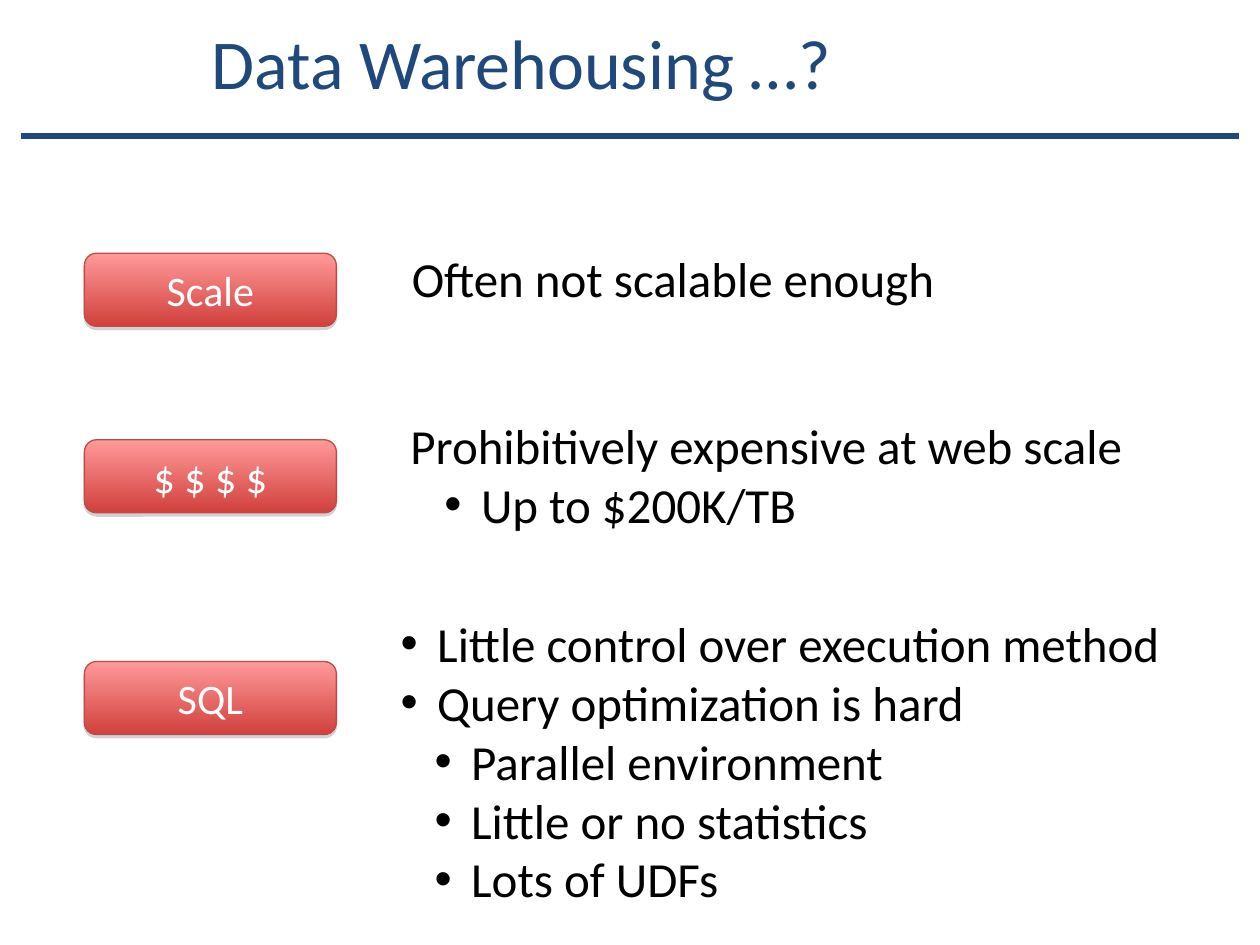
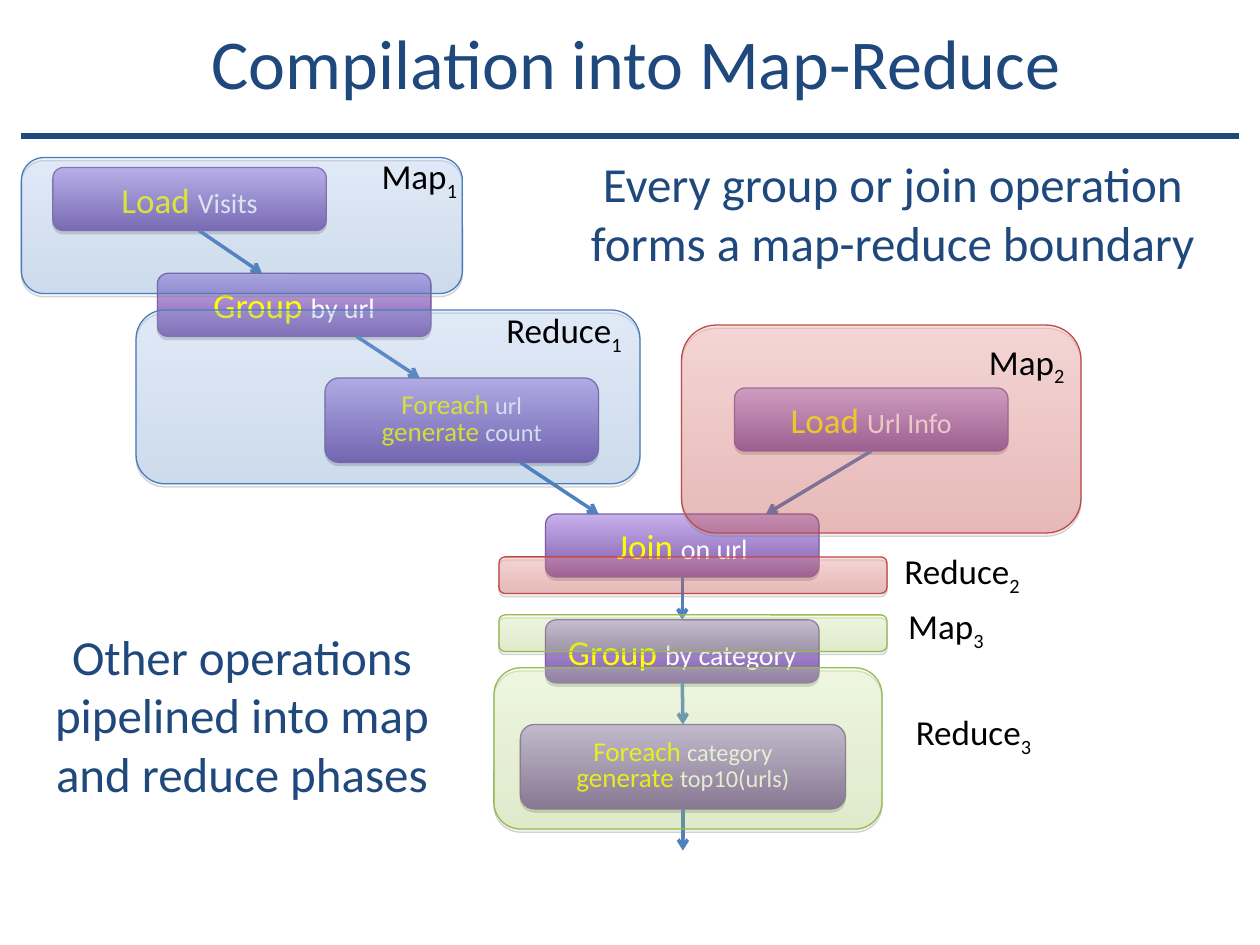
import pptx
import pptx.dml.color
import pptx.enum.shapes
import pptx.enum.text
import pptx.oxml
import pptx.oxml.ns
import pptx.util

Inches = pptx.util.Inches
Pt = pptx.util.Pt
RGBColor = pptx.dml.color.RGBColor
MIDDLE = pptx.enum.text.MSO_ANCHOR.MIDDLE
LEFT = pptx.enum.text.PP_ALIGN.LEFT
CENTER = pptx.enum.text.PP_ALIGN.CENTER
FIT_SHAPE = pptx.enum.text.MSO_AUTO_SIZE.SHAPE_TO_FIT_TEXT
STRAIGHT = pptx.enum.shapes.MSO_CONNECTOR.STRAIGHT
ROUNDED = pptx.enum.shapes.MSO_SHAPE.ROUNDED_RECTANGLE
qn = pptx.oxml.ns.qn
NAMESPACE = pptx.oxml.ns.nsdecls("a")

COLORS = {
    "navy": "1F497D", "arrow": "4F81BD", "keyword": "FFFF00",
    "white": "FFFFFF", "black": "000000",
}
# gradient top, gradient bottom, outline, opacity in percent
BOX_STYLES = {
    "issue": ("FF9A99", "D1403C", "BE4B48", 100),
    "step": ("C8B0ED", "7F5BAB", "7D60A0", 100),
    "blue phase": ("9BC1FF", "3F80CD", "4A7EBB", 21),
    "red phase": ("FF9A99", "D1403C", "BE4B48", 31),
    "green phase": ("DCFFA0", "A0CA4A", "98B954", 24),
}
SHADOW = (
    f'<a:outerShdw {NAMESPACE} blurRad="0" dist="22860" dir="5400000" rotWithShape="0">'
    '<a:srgbClr val="808080"><a:alpha val="35000"/></a:srgbClr></a:outerShdw>'
)


def write(frame, paragraphs, **paragraph_format):
    """Fill a text frame; each paragraph is a list of (text, size, colour) runs."""
    frame.word_wrap = True
    for index, runs in enumerate(paragraphs):
        paragraph = frame.add_paragraph() if index else frame.paragraphs[0]
        for name, value in paragraph_format.items():
            setattr(paragraph, name, value)
        for text, size, color in runs:
            run = paragraph.add_run()
            run.text = text
            for name, value in {"name": "Calibri", "size": Pt(size)}.items():
                setattr(run.font, name, value)
            run.font.color.rgb = RGBColor.from_string(COLORS[color])


def add_box(slide, style, left, top, width, height):
    """Add a rounded box with a vertical gradient and a thin lower shadow."""
    *stops, outline, opacity = BOX_STYLES[style]
    shape = slide.shapes.add_shape(
        ROUNDED, Inches(left), Inches(top), Inches(width), Inches(height))
    shape.fill.gradient()
    shape.fill.gradient_angle = 270
    for stop, color in zip(shape.fill.gradient_stops, stops):
        stop.color.rgb = RGBColor.from_string(color)
    for color in shape.element.spPr.find(qn("a:gradFill")).iter(qn("a:srgbClr")):
        color.append(pptx.oxml.parse_xml(f'<a:alpha {NAMESPACE} val="{opacity * 1000}"/>'))
    shape.line.color.rgb = RGBColor.from_string(outline)
    shape.line.width = Pt(0.75)
    shape.shadow.inherit = False
    shape.element.spPr.find(qn("a:effectLst")).append(pptx.oxml.parse_xml(SHADOW))
    shape.text_frame.vertical_anchor = MIDDLE
    return shape


presentation = pptx.Presentation()
presentation.slide_width = Inches(10)
presentation.slide_height = Inches(7.5)
master = presentation.slide_master
warehousing = presentation.slides.add_slide(presentation.slide_layouts[1])
compilation = presentation.slides.add_slide(presentation.slide_layouts[5])

# Shared title and rule
rule = warehousing.shapes.add_connector(
    STRAIGHT, Inches(9.83), Inches(1.08), Inches(0.17), Inches(1.08))
rule.line.color.rgb = RGBColor.from_string(COLORS["navy"])
rule.line.width = Pt(3)
rule.element.spPr.append(pptx.oxml.parse_xml(f"<a:effectLst {NAMESPACE}/>"))
master.shapes.element.append(rule.element)

for slide, title in (
    (warehousing, "Data Warehousing …?"),
    (compilation, "Compilation into Map-Reduce"),
):
    placeholder = slide.shapes.title
    for name, value in {"left": 1.58, "top": 0.05, "width": 8.33, "height": 0.87}.items():
        setattr(placeholder, name, Inches(value))
    placeholder.text_frame.vertical_anchor = MIDDLE
    write(placeholder.text_frame, [[(title, 40, "navy")]], alignment=LEFT)

# Slide 1: issues; a level of None means no bullet
issues = [
    ("Scale", 2.01, (3.17, 1.92, 4.59, 0.57), [(None, "Often not scalable enough")]),
    ("$ $ $ $", 3.49, (3.16, 3.25, 6.17, 1.04), [
        (None, "Prohibitively expensive at web scale"),
        (1, "Up to $200K/TB"),
    ]),
    ("SQL", 5.25, (3.08, 4.82, 6.67, 2.5), [
        (0, "Little control over execution method"),
        (0, "Query optimization is hard"),
        (1, "Parallel environment"),
        (1, "Little or no statistics"),
        (1, "Lots of UDFs"),
    ]),
]
for label, label_top, position, points in issues:
    badge = add_box(warehousing, "issue", 0.67, label_top, 2, 0.58)
    write(badge.text_frame, [[(label, 24, "white")]], alignment=CENTER)
    if label == "SQL":
        box = warehousing.placeholders[1]
        for name, value in zip(("left", "top", "width", "height"), position):
            setattr(box, name, Inches(value))
        box.text_frame.auto_size = pptx.enum.text.MSO_AUTO_SIZE.NONE
    else:
        box = warehousing.shapes.add_textbox(*map(Inches, position))
        box.text_frame.auto_size = FIT_SHAPE
    write(box.text_frame, [[(text, 28, "black")] for level, text in points],
          space_before=Pt(0))
    for paragraph, (level, text) in zip(box.text_frame.paragraphs, points):
        if level is None:
            continue
        paragraph.level = level
        properties = paragraph._p.get_or_add_pPr()
        properties.set("marL", str(Inches(0.29 + 0.27 * level)))
        properties.set("indent", str(Inches(-0.29)))
        for bullet in ('buFont {} typeface="Arial"', 'buChar {} char="•"'):
            properties.append(pptx.oxml.parse_xml(f"<a:{bullet.format(NAMESPACE)}/>"))

# Slide 2: query steps, as lines of (keyword, argument)
steps = {
    "load visits": (0.42, 1.33, 2.17, [("Load ", "Visits")]),
    "group by url": (1.25, 2.17, 2.17, [("Group ", "by url")]),
    "count": (2.58, 3, 2.17, [("Foreach ", "url"), ("generate ", "count")]),
    "load url info": (5.83, 3.08, 2.17, [("Load ", "Url Info")]),
    "join": (4.33, 4.08, 2.17, [("Join ", "on url")]),
    "group by category": (4.33, 4.92, 2.17, [("Group ", "by category")]),
    "top urls": (4.13, 5.75, 2.58, [("Foreach ", "category"), ("generate ", "top10(urls)")]),
}
step_boxes = {}
for step, (left, top, width, lines) in steps.items():
    two_lines = len(lines) == 2
    height, keyword_size, argument_size = (0.67, 15.5, 13.9) if two_lines else (0.5, 20, 16)
    step_boxes[step] = add_box(compilation, "step", left, top, width, height)
    write(
        step_boxes[step].text_frame,
        [[(keyword, keyword_size, "keyword"), (argument, argument_size, "white")]
         for keyword, argument in lines],
        alignment=CENTER, line_spacing=0.8 if two_lines else 1.0,
    )

# Arrows: start, end, and the steps joined at the middle of a side
arrows = [
    (1.58, 1.83, 2.08, 2.17, None, None),
    (4.13, 3.67, 4.75, 4.08, None, None),
    (6.92, 3.58, 6.08, 4.08, "load url info", None),
    (5.42, 4.58, 5.42, 4.92, "join", "group by category"),
    (5.42, 5.42, 5.42, 5.75, "group by category", "top urls"),
    (5.42, 6.42, 5.42, 6.75, "top urls", None),
    (2.83, 2.67, 3.33, 3, None, None),
]
for *ends, source, target in arrows:
    arrow = compilation.shapes.add_connector(STRAIGHT, *map(Inches, ends))
    if source:
        arrow.begin_connect(step_boxes[source], 2)
    if target:
        arrow.end_connect(step_boxes[target], 0)
    arrow.line.color.rgb = RGBColor.from_string(COLORS["arrow"])
    arrow.line.width = Pt(2)
    arrow.line._get_or_add_ln().append(
        pptx.oxml.parse_xml(f'<a:tailEnd {NAMESPACE} type="arrow"/>'))
    arrow.element.spPr.append(pptx.oxml.parse_xml(f"<a:effectLst {NAMESPACE}/>"))

# Translucent phases over the steps, each with its label
phases = [
    ("blue phase", (0.17, 1.25, 3.5, 1.08), "Map", "1", (2.93, 1.18)),
    ("blue phase", (1.08, 2.46, 4, 1.38), "Reduce", "1", (3.92, 2.4)),
    ("red phase", (5.41, 2.58, 3.17, 1.65), "Map", "2", (7.75, 2.65)),
    ("red phase", (3.96, 4.42, 3.08, 0.29), "Reduce", "2", (7.08, 4.31)),
    ("green phase", (3.96, 4.88, 3.08, 0.29), "Map", "3", (7.11, 4.75)),
    ("green phase", (3.92, 5.3, 3.08, 1.28), "Reduce", "3", (7.17, 5.59)),
]
for style, position, phase, number, (left, top) in phases:
    add_box(compilation, style, *position)
    width = 0.97 if phase == "Map" else 1.3
    label = compilation.shapes.add_textbox(
        Inches(left), Inches(top), Inches(width), Inches(0.48))
    label.text_frame.auto_size = FIT_SHAPE
    write(label.text_frame, [[(phase, 20, "black"), (number, 20, "black")]])
    subscript = label.text_frame.paragraphs[0].runs[1]
    subscript.font._element.set("baseline", "-25000")

remarks = [
    ("Every group or join operation forms a map-reduce boundary", (4.42, 1.17, 5.33, 1.04)),
    ("Other operations pipelined into map and reduce phases", (0, 4.92, 3.84, 1.5)),
]
for text, position in remarks:
    remark = compilation.shapes.add_textbox(*map(Inches, position))
    remark.text_frame.auto_size = FIT_SHAPE
    write(remark.text_frame, [[(text, 28, "navy")]], alignment=CENTER)

presentation.save("out.pptx")
